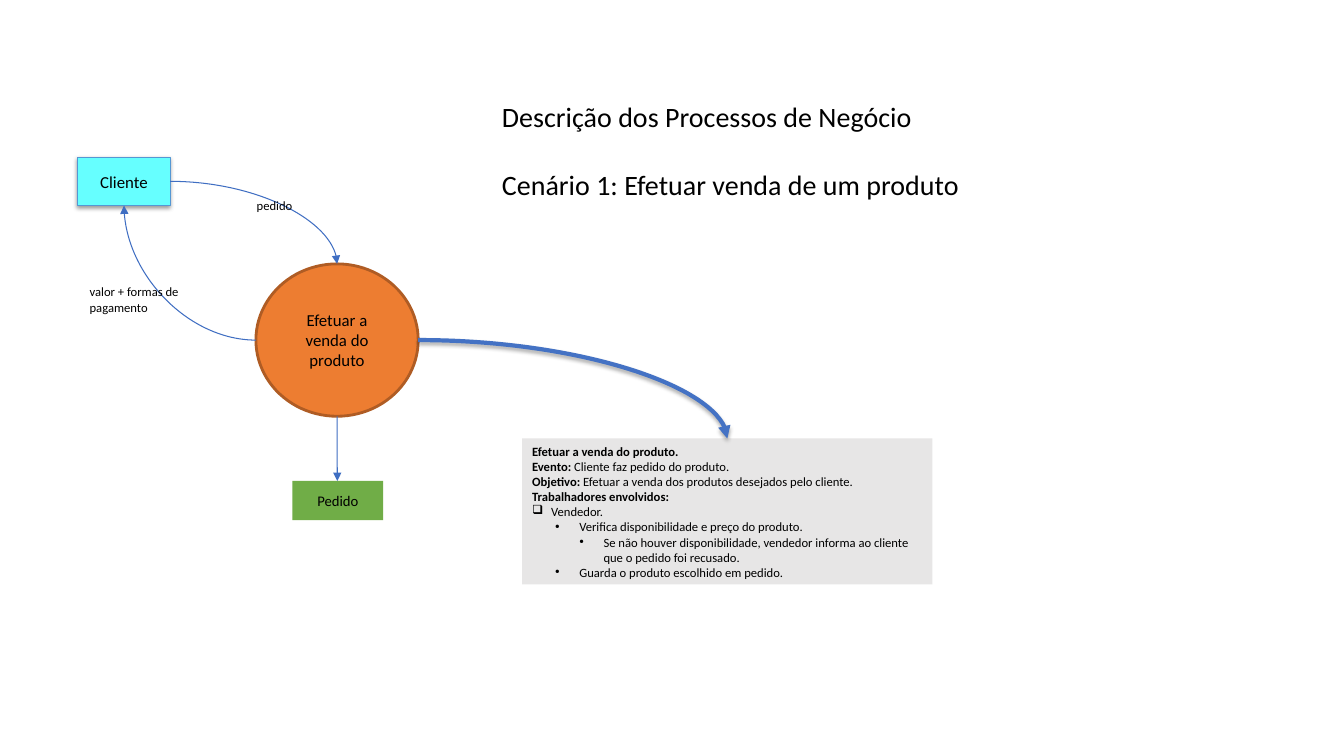
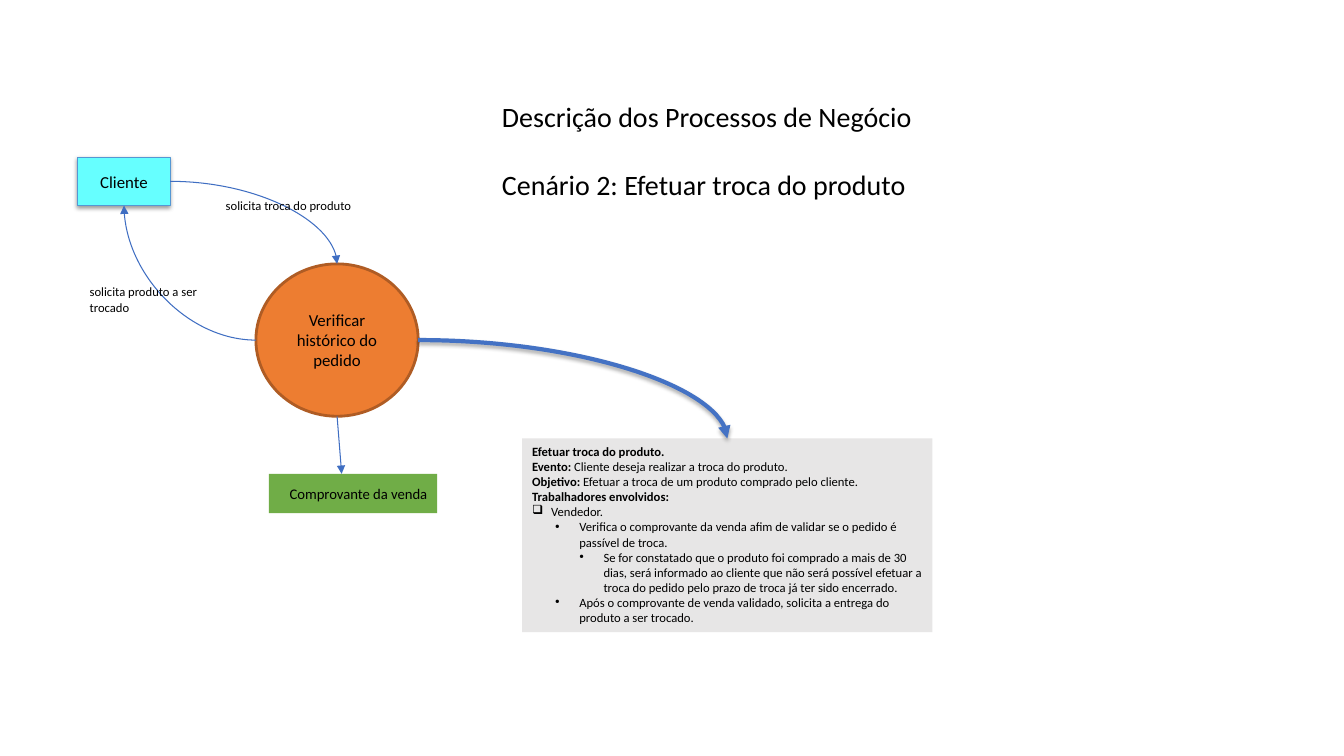
from dataclasses import dataclass

from lxml import etree
from pptx import Presentation
from pptx.dml.color import RGBColor
from pptx.enum.shapes import MSO_CONNECTOR, MSO_SHAPE
from pptx.enum.text import MSO_ANCHOR, MSO_AUTO_SIZE, PP_ALIGN
from pptx.oxml.ns import qn
from pptx.util import Cm, Pt

FONT = "Calibri"
BLACK = RGBColor(0x00, 0x00, 0x00)
CYAN = RGBColor(0x66, 0xFF, 0xFF)
CYAN_EDGE = RGBColor(0x55, 0x97, 0xD3)
ORANGE = RGBColor(0xED, 0x7D, 0x31)
ORANGE_EDGE = RGBColor(0xAF, 0x5C, 0x24)
GREEN = RGBColor(0x70, 0xAD, 0x47)
GREY = RGBColor(0xE7, 0xE6, 0xE6)
FLOW_BLUE = RGBColor(0x3F, 0x6E, 0xC2)
DETAIL_BLUE = RGBColor(0x44, 0x72, 0xC4)

# Bullet character, size in percent, left indent and hanging width by level
BULLETS = [
    ("❑", 100, Cm(0.48), Cm(0.48)),
    ("●", 45, Cm(1.19), Cm(0.61)),
    ("●", 45, Cm(1.8), Cm(0.61)),
]
# Connection sites of the preset shapes
RECT_TOP, RECT_BOTTOM, RECT_RIGHT = 0, 2, 3
OVAL_TOP, OVAL_LEFT, OVAL_BOTTOM, OVAL_RIGHT = 0, 2, 4, 6


@dataclass
class Scenario:
    """Everything that differs from one scenario slide to the next."""
    title: str
    process: str
    request: str
    request_box: tuple
    reply: str
    document: str
    document_box: tuple
    document_align: PP_ALIGN
    arrow_tip: tuple
    panel_height: float
    heading: str
    event: str
    goal: str
    steps: list


SCENARIOS = [
    Scenario(
        title="Cenário 1: Efetuar venda de um produto",
        process="Efetuar a venda do produto",
        request="pedido", request_box=(6.22, 4.85, 3.23, 0.64),
        reply="valor + formas de pagamento",
        document="Pedido", document_box=(7.37, 12.12, 2.29, 0.99),
        document_align=PP_ALIGN.CENTER, arrow_tip=(8.5, 12.12),
        panel_height=3.68,
        heading="Efetuar a venda do produto.",
        event="Cliente faz pedido do produto.",
        goal="Efetuar a venda dos produtos desejados pelo cliente.",
        steps=[
            (0, "Vendedor."),
            (1, "Verifica disponibilidade e preço do produto."),
            (2, "Se não houver disponibilidade, vendedor informa ao cliente "
                "que o pedido foi recusado."),
            (1, "Guarda o produto escolhido em pedido."),
        ]),
    Scenario(
        title="Cenário 2: Efetuar troca do produto",
        process="Verificar histórico do pedido",
        request="solicita troca do produto", request_box=(5.44, 4.85, 4.09, 0.64),
        reply="solicita produto a ser trocado",
        document="Comprovante da venda", document_box=(6.78, 11.94, 4.24, 0.99),
        document_align=PP_ALIGN.RIGHT, arrow_tip=(8.61, 11.94),
        panel_height=4.88,
        heading="Efetuar troca do produto.",
        event="Cliente deseja realizar a troca do produto.",
        goal="Efetuar a troca de um produto comprado pelo cliente.",
        steps=[
            (0, "Vendedor."),
            (1, "Verifica o comprovante da venda afim de validar se o pedido é "
                "passível de troca."),
            (2, "Se for constatado que o produto foi comprado a mais de 30 dias, "
                "será informado ao cliente que não será possível efetuar a troca "
                "do pedido pelo prazo de troca já ter sido encerrado."),
            (1, "Após o comprovante de venda validado, solicita a entrega do "
                "produto a ser trocado."),
        ]),
]


def add_element(parent, tag, **attributes):
    """Append an XML element such as a:tailEnd and return it."""
    element = etree.SubElement(parent, qn(tag))
    for name, value in attributes.items():
        element.set(name, str(value))
    return element


def set_shadow(effects, opacity, distance):
    """Put a soft downward black shadow into an effect list."""
    shadow = add_element(effects, "a:outerShdw", blurRad=Pt(3.1), dist=Pt(distance),
                         dir=90 * 60000, algn="ctr", rotWithShape=0)
    color = add_element(shadow, "a:srgbClr", val=BLACK)
    add_element(color, "a:alpha", val=opacity * 1000)


def add_run(paragraph, text, size, bold=False):
    """Add a black run in the deck's font."""
    run = paragraph.add_run()
    run.text = text
    run.font.name = FONT
    run.font.size = Pt(size)
    run.font.bold = bold
    run.font.color.rgb = BLACK


def add_node(slide, preset, box, fill, edge=None, edge_width=0.75):
    """Add a filled shape, outlined only if an edge colour is given."""
    node = slide.shapes.add_shape(preset, *map(Cm, box))
    node.shadow.inherit = False
    node.fill.solid()
    node.fill.fore_color.rgb = fill
    if edge is None:
        node.line.fill.background()
    else:
        node.line.color.rgb = edge
        node.line.width = Pt(edge_width)
    return node


def write_label(node, text, size, align=PP_ALIGN.CENTER):
    """Write one vertically centred paragraph in a node."""
    frame = node.text_frame
    frame.word_wrap = True
    frame.vertical_anchor = MSO_ANCHOR.MIDDLE
    frame.paragraphs[0].alignment = align
    add_run(frame.paragraphs[0], text, size)


def add_text(slide, box, lines, size, gap=0):
    """Add a wrapping text box with one paragraph per line."""
    frame = slide.shapes.add_textbox(*map(Cm, box)).text_frame
    frame.word_wrap = True
    frame.auto_size = MSO_AUTO_SIZE.SHAPE_TO_FIT_TEXT
    for index, line in enumerate(lines):
        paragraph = frame.add_paragraph() if index else frame.paragraphs[0]
        if index:
            paragraph.space_before = Pt(gap)
        add_run(paragraph, line, size)


def style_arrow(arrow, color, width):
    """Give a connector its line and arrowhead; return its empty effect list."""
    arrow.line.color.rgb = color
    arrow.line.width = Pt(width)
    properties = arrow._element.spPr
    add_element(properties.find(qn("a:ln")), "a:tailEnd", type="triangle")
    return add_element(properties, "a:effectLst")


def glue(arrow, tag, node, site):
    """Attach one end of a connector to a connection site of a node."""
    ends = arrow._element.find(".//" + qn("p:cNvCxnSpPr"))
    add_element(ends, tag, id=node.shape_id, idx=site)


def add_curve(slide, start, end, color=FLOW_BLUE, width=0.75):
    """Add a quarter-curve arrow between two (node, site, point) ends."""
    (x1, y1), (x2, y2) = start[2], end[2]
    arrow = slide.shapes.add_connector(
        MSO_CONNECTOR.CURVE, min(x1, x2), min(y1, y2), max(x1, x2), max(y1, y2))
    properties = arrow._element.spPr
    if x2 < x1:
        properties.find(qn("a:xfrm")).set("rot", str(180 * 60000))
    properties.find(qn("a:prstGeom")).set("prst", "curvedConnector2")
    glue(arrow, "a:stCxn", *start[:2])
    glue(arrow, "a:endCxn", *end[:2])
    return style_arrow(arrow, color, width)


def center(node):
    """Return the middle point of a node."""
    return node.left + node.width // 2, node.top + node.height // 2


def add_bullet(paragraph, level):
    """Set the indent and bullet of a level."""
    char, percent, left, hanging = BULLETS[level]
    paragraph.level = level
    props = paragraph._p.get_or_add_pPr()
    props.set("marL", str(left))
    props.set("indent", str(-hanging))
    add_element(add_element(props, "a:buClr"), "a:srgbClr", val=BLACK)
    add_element(props, "a:buSzPct", val=percent * 1000)
    add_element(props, "a:buChar", char=char)


def add_process_panel(slide, scenario):
    """Add the grey panel that describes the process step by step."""
    panel = add_node(slide, MSO_SHAPE.RECTANGLE,
                     (13.16, 11.05, 10.34, scenario.panel_height), GREY)
    frame = panel.text_frame
    frame.word_wrap = True
    frame.vertical_anchor = MSO_ANCHOR.TOP
    facts = [(scenario.heading, ""), ("Evento:", " " + scenario.event),
             ("Objetivo: ", scenario.goal), ("Trabalhadores envolvidos:", "")]
    for index, (name, value) in enumerate(facts):
        paragraph = frame.add_paragraph() if index else frame.paragraphs[0]
        paragraph.alignment = PP_ALIGN.LEFT
        add_run(paragraph, name, 9, bold=True)
        if value:
            add_run(paragraph, value, 9)
    for level, step in scenario.steps:
        paragraph = frame.add_paragraph()
        paragraph.alignment = PP_ALIGN.LEFT
        add_bullet(paragraph, level)
        add_run(paragraph, step, 9)
    return panel


def add_flows(slide, client, process, panel, arrow_tip):
    """Connect the process with the client, its document and its panel."""
    client_x, client_y = center(client)
    process_x, process_y = center(process)
    process_right = process.left + process.width
    process_bottom = process.top + process.height
    add_curve(slide, (client, RECT_RIGHT, (client.left + client.width, client_y)),
              (process, OVAL_TOP, (process_x, process.top)))
    add_curve(slide, (process, OVAL_LEFT, (process.left, process_y)),
              (client, RECT_BOTTOM, (client_x, client.top + client.height)))
    effects = add_curve(slide, (process, OVAL_RIGHT, (process_right, process_y)),
                        (panel, RECT_TOP, (center(panel)[0], panel.top)),
                        DETAIL_BLUE, 3)
    set_shadow(effects, 35, 1.8)
    arrow = slide.shapes.add_connector(MSO_CONNECTOR.STRAIGHT, process_x,
                                       process_bottom, *map(Cm, arrow_tip))
    glue(arrow, "a:stCxn", process, OVAL_BOTTOM)
    style_arrow(arrow, FLOW_BLUE, 0.75)


def add_scenario(prs, scenario):
    """Build the slide of one business scenario."""
    slide = prs.slides.add_slide(prs.slide_layouts[6])
    process = add_node(slide, MSO_SHAPE.OVAL, (6.45, 6.65, 4.09, 3.84),
                       ORANGE, ORANGE_EDGE, 2)
    write_label(process, scenario.process, 12)
    client = add_node(slide, MSO_SHAPE.RECTANGLE, (1.96, 3.96, 2.33, 1.22),
                      CYAN, CYAN_EDGE)
    set_shadow(client._element.spPr.find(qn("a:effectLst")), 38, 1.6)
    write_label(client, "Cliente", 12)
    document = add_node(slide, MSO_SHAPE.RECTANGLE, scenario.document_box, GREEN)
    write_label(document, scenario.document, 10.5, scenario.document_align)
    panel = add_process_panel(slide, scenario)
    add_flows(slide, client, process, panel, scenario.arrow_tip)
    add_text(slide, scenario.request_box, [scenario.request], 9)
    add_text(slide, (2.01, 7.04, 4.09, 1.02), [scenario.reply], 9)
    add_text(slide, (12.4, 2.39, 14.15, 2.82),
             ["Descrição dos Processos de Negócio", scenario.title], 20, gap=24)


def main():
    """Create the deck and save it."""
    prs = Presentation()
    prs.slide_width, prs.slide_height = Cm(33.87), Cm(19.05)
    for scenario in SCENARIOS:
        add_scenario(prs, scenario)
    prs.save("out.pptx")


main()
